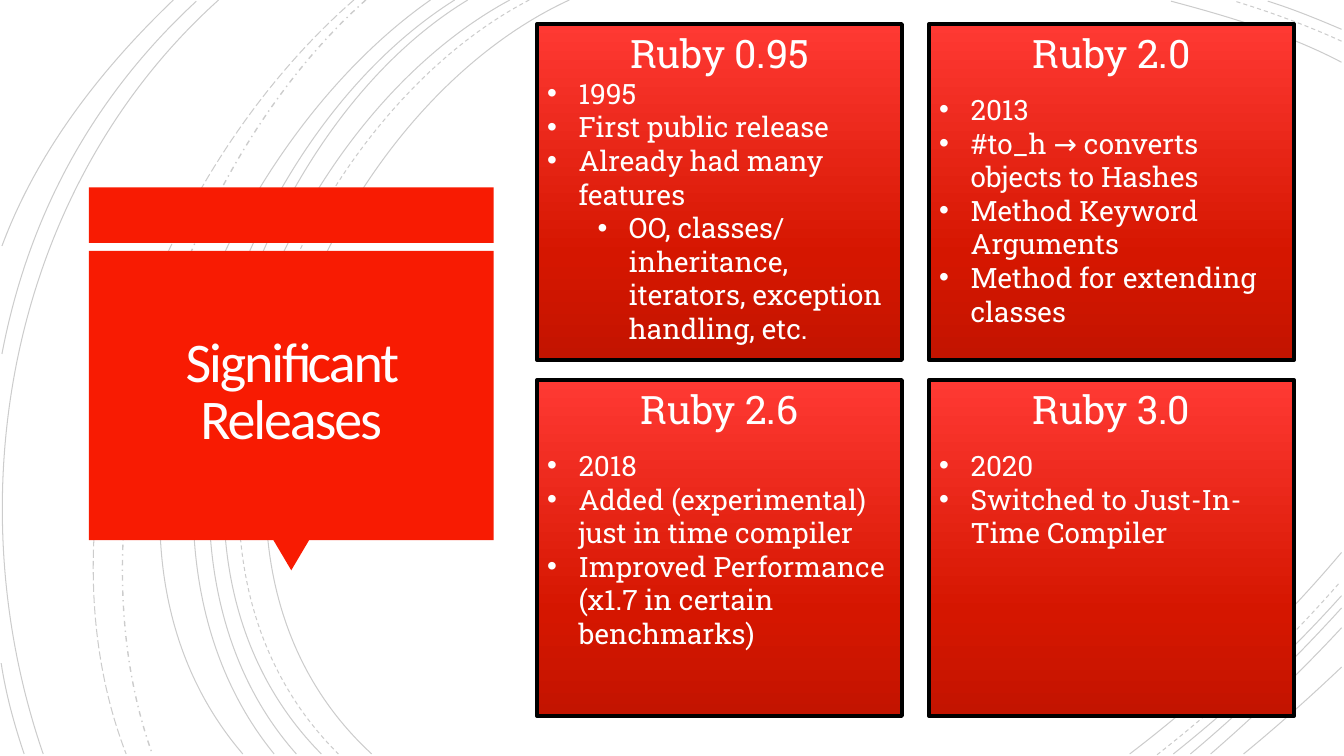
from copy import deepcopy

from pptx import Presentation
from pptx.dml.color import RGBColor
from pptx.enum.dml import MSO_LINE
from pptx.enum.shapes import MSO_SHAPE
from pptx.enum.text import MSO_ANCHOR, MSO_AUTO_SIZE, PP_ALIGN
from pptx.oxml.ns import qn
from pptx.oxml.xmlchemy import OxmlElement
from pptx.util import Cm, Pt

RED = RGBColor(0xF8, 0x1B, 0x02)
BLACK = RGBColor(0x00, 0x00, 0x00)
WHITE = RGBColor(0xFF, 0xFF, 0xFF)
TITLE_WHITE = RGBColor(0xFF, 0xFE, 0xFF)
CARD_STOPS = [
    (0, RGBColor(0xFF, 0x39, 0x33)),
    (0.69, RGBColor(0xD5, 0x16, 0x00)),
    (1, RGBColor(0xC3, 0x14, 0x00)),
]

SOLID, DASH = MSO_LINE.SOLID, MSO_LINE.DASH
ARCS = [
    (SOLID, [(14.35, 0), (8, 2.92), (3.63, 13.72), (9.37, 19)]),
    (SOLID, [(33.81, 1.57), (32.46, 0.86), (30.94, 0.41), (29.51, 0.03)]),
    (SOLID, [(28.47, 19), (30.4, 17.53), (32.23, 15.8), (33.81, 13.92)]),
    (DASH, [(13.34, 0), (7.24, 3.18), (3.12, 13.64), (8.53, 19)]),
    (DASH, [(33.81, 1.04), (32.94, 0.64), (32, 0.3), (31.12, 0.03)]),
    (DASH, [(29.16, 19.02), (30.81, 17.73), (32.39, 16.26), (33.78, 14.66)]),
    (SOLID, [(12.85, 0), (6.86, 3.23), (2.79, 13.64), (8.1, 19)]),
    (SOLID, [(33.81, 0.74), (33.2, 0.48), (32.59, 0.23), (31.95, 0.03)]),
    (SOLID, [(29.57, 19), (31.06, 17.81), (32.51, 16.46), (33.81, 15.01)]),
    (SOLID, [(11.79, 0), (6.2, 3.38), (2.79, 13.74), (7.47, 19)]),
    (SOLID, [(30, 19), (31.34, 17.88), (32.61, 16.64), (33.81, 15.32)]),
    (SOLID, [(11.46, 0), (5.87, 3.51), (2.46, 13.54), (6.91, 19)]),
    (SOLID, [(30.51, 19), (31.65, 18.01), (32.77, 16.94), (33.81, 15.82)]),
    (SOLID, [(10.85, 0), (5.51, 3.73), (1.35, 13.44), (6.12, 19)]),
    (SOLID, [(31.34, 19), (32.18, 18.31), (33, 17.58), (33.81, 16.81)]),
    (MSO_LINE.DASH_DOT, [(9.22, 0), (4.47, 4.22), (1.65, 12.93), (3.84, 19)]),
    (MSO_LINE.LONG_DASH, [(8.92, 0), (3.99, 4.29), (0.74, 12.67), (3.18, 19)]),
    (SOLID, [(5.51, 0), (0.28, 4.7), (-1.17, 12.45), (1.09, 19)]),
    (SOLID, [(4.95, 0.03), (2.34, 2.44), (0.71, 5.44), (0.05, 8.92)]),
    (SOLID, [(0.03, 16.71), (0.15, 17.5), (0.36, 18.26), (0.61, 19)]),
    (SOLID, [(4.37, 0), (2.54, 1.75), (0.94, 3.81), (0.05, 6.2)]),
]

RELEASES = [
    ("Ruby 0.95", 0, [
        (0, "1995"),
        (0, "First public release"),
        (0, "Already had many features"),
        (1, "OO, classes/ inheritance, iterators, exception handling, etc."),
    ]),
    ("Ruby 2.0", 11.6, [
        (0, "2013"),
        (0, "#to_h → converts objects to Hashes"),
        (0, "Method Keyword Arguments"),
        (0, "Method for extending classes"),
    ]),
    ("Ruby 2.6", 11.6, [
        (0, "2018"),
        (0, "Added (experimental) just in time compiler"),
        (0, "Improved Performance (x1.7 in certain benchmarks)"),
    ]),
    ("Ruby 3.0", 11.6, [
        (0, "2020"),
        (0, "Switched to Just-In-Time Compiler"),
    ]),
]


def add_child(parent, tag, **attributes):
    """Append an XML element with the given attributes."""
    child = OxmlElement(tag)
    for name, value in attributes.items():
        child.set(name, value)
    parent.append(child)
    return child


def add_arc(slide, dash, points):
    """Draw one faint cubic curve from its start, two handles and end."""
    start, *rest = [(Cm(x), Cm(y)) for x, y in points]
    builder = slide.shapes.build_freeform(*start)
    builder.add_line_segments(rest, close=False)
    shape = builder.convert_to_shape()
    shape.shadow.inherit = False
    shape.fill.background()
    shape.line.width = Pt(1 if dash == MSO_LINE.DASH_DOT else 0.75)
    shape.line.color.rgb = BLACK
    shape.line.dash_style = dash
    properties = shape.element.spPr
    add_child(properties.find(".//" + qn("a:srgbClr")), "a:alpha", val="20000")
    outline = properties.find(".//" + qn("a:path"))
    curve = add_child(outline, "a:cubicBezTo")
    for segment in outline.findall(qn("a:lnTo")):
        curve.append(segment[0])
        outline.remove(segment)


def add_panel_shape(slide, kind, left, top, width, height):
    """Add one plain red part of the title panel."""
    shape = slide.shapes.add_shape(kind, Cm(left), Cm(top), Cm(width), Cm(height))
    shape.shadow.inherit = False
    shape.fill.solid()
    shape.fill.fore_color.rgb = RED
    shape.line.fill.background()
    return shape


def add_title_panel(slide, left, top, width, height):
    """Place the red callout and the slide title in the given box."""
    body_top, body_height = top + 1.6, 7.29
    pointer_top = body_top + body_height
    add_panel_shape(slide, MSO_SHAPE.RECTANGLE, left, top, width, 1.4)
    pointer = add_panel_shape(slide, MSO_SHAPE.ISOSCELES_TRIANGLE,
                              left + width / 2 - 0.45, pointer_top,
                              0.9, top + height - pointer_top)
    pointer.rotation = 180
    add_panel_shape(slide, MSO_SHAPE.RECTANGLE, left, body_top, width, body_height)

    title = slide.shapes.title
    title.element.getparent().append(title.element)
    title.left, title.top = Cm(left + 0.23), Cm(body_top + 0.2)
    title.width, title.height = Cm(width - 0.46), Cm(body_height - 0.46)
    frame = title.text_frame
    frame.text = "Significant Releases"
    frame.word_wrap = True
    frame.auto_size = MSO_AUTO_SIZE.NONE
    frame.vertical_anchor = MSO_ANCHOR.MIDDLE
    frame.margin_left = frame.margin_right = Cm(0.64)
    frame.margin_top = frame.margin_bottom = Cm(0.64)
    paragraph = frame.paragraphs[0]
    paragraph.alignment = PP_ALIGN.CENTER
    paragraph.line_spacing = 0.85
    run = paragraph.runs[0]
    format_run(run, "Calibri", 40, TITLE_WHITE)
    run.font._element.set("spc", "-150")


def format_run(run, name, size, color):
    """Set the font, size and colour of a run."""
    run.font.name = name
    run.font.size = Pt(size)
    run.font.color.rgb = color


def add_bullet(frame, level, text):
    """Add one bulleted paragraph."""
    paragraph = frame.add_paragraph()
    paragraph.text = text
    paragraph.level = level
    paragraph.alignment = PP_ALIGN.LEFT
    properties = paragraph._p.get_or_add_pPr()
    properties.set("marL", str(Cm(0.79 + 1.27 * level)))
    properties.set("indent", str(Cm(-0.79)))
    add_child(properties, "a:buFont", typeface="Arial")
    add_child(properties, "a:buChar", char="•")
    format_run(paragraph.runs[0], "Roboto Slab", 20, WHITE)


def add_release_card(slide, left, top, width, height, release):
    """Place one release card in the given box."""
    heading, gap, bullets = release
    card = slide.shapes.add_shape(MSO_SHAPE.RECTANGLE, Cm(left), Cm(top),
                                  Cm(width), Cm(height))
    card.shadow.inherit = False
    card.line.color.rgb = BLACK
    card.line.width = Pt(3)
    card.fill.gradient()
    card.fill.gradient_angle = 270
    stops = card.element.spPr.find(".//" + qn("a:gsLst"))
    stops.append(deepcopy(stops[-1]))
    for stop, (position, color) in zip(card.fill.gradient_stops, CARD_STOPS):
        stop.position = position
        stop.color.rgb = color

    frame = card.text_frame
    frame.word_wrap = True
    frame.vertical_anchor = MSO_ANCHOR.TOP
    frame.text = heading
    paragraph = frame.paragraphs[0]
    paragraph.alignment = PP_ALIGN.CENTER
    paragraph.space_after = Pt(gap)
    format_run(paragraph.runs[0], "Roboto Slab", 28, WHITE)
    for level, text in bullets:
        add_bullet(frame, level, text)


def add_release_grid(slide, left, top, width, height):
    """Lay the release cards out in two columns and two rows."""
    card_width, card_height = 9.19, 8.46
    for index, release in enumerate(RELEASES):
        row, column = divmod(index, 2)
        add_release_card(slide, left + column * (width - card_width),
                         top + row * (height - card_height),
                         card_width, card_height, release)


def main():
    """Build and save the presentation."""
    presentation = Presentation()
    presentation.slide_width, presentation.slide_height = Cm(33.87), Cm(19.05)
    slide = presentation.slides.add_slide(presentation.slide_layouts[5])
    for dash, points in ARCS:
        add_arc(slide, dash, points)
    add_title_panel(slide, 2.24, 4.72, 10.2, 9.65)
    add_release_grid(slide, 13.54, 0.61, 19.07, 17.43)
    presentation.save("out.pptx")


if __name__ == "__main__":
    main()
